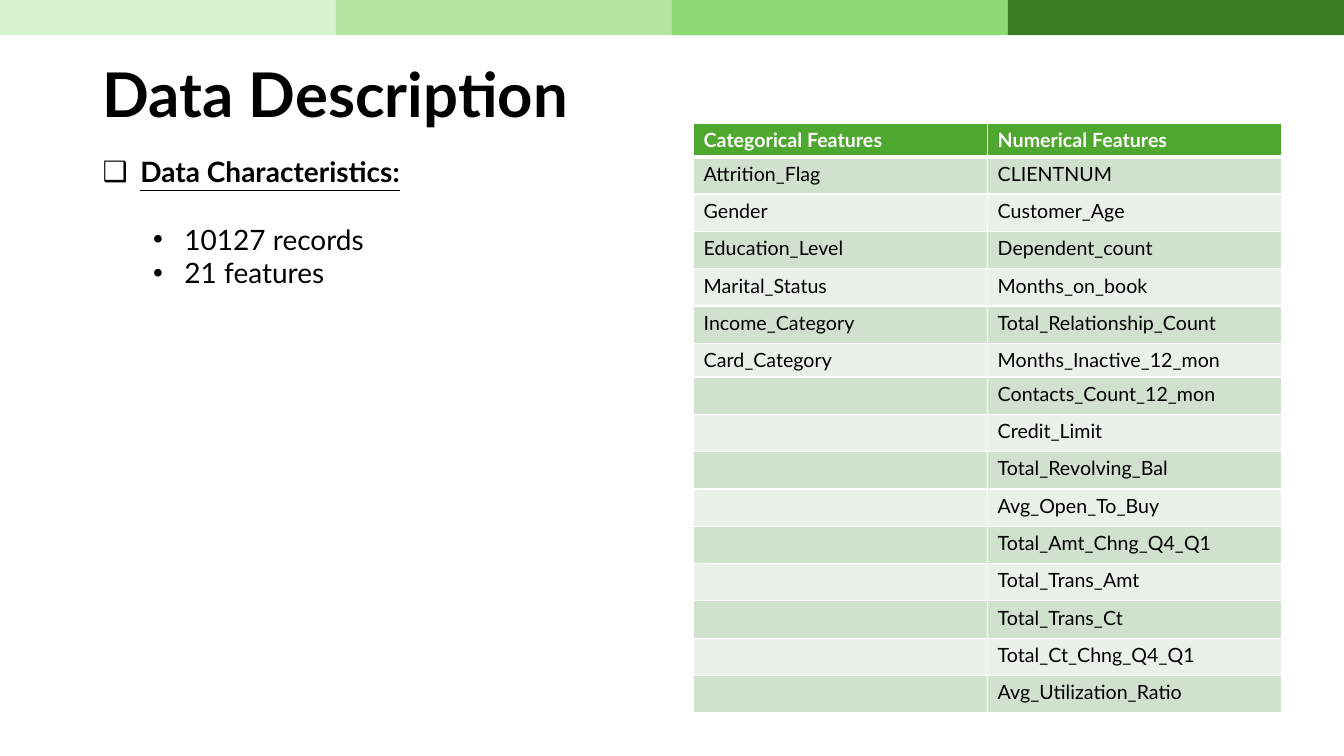
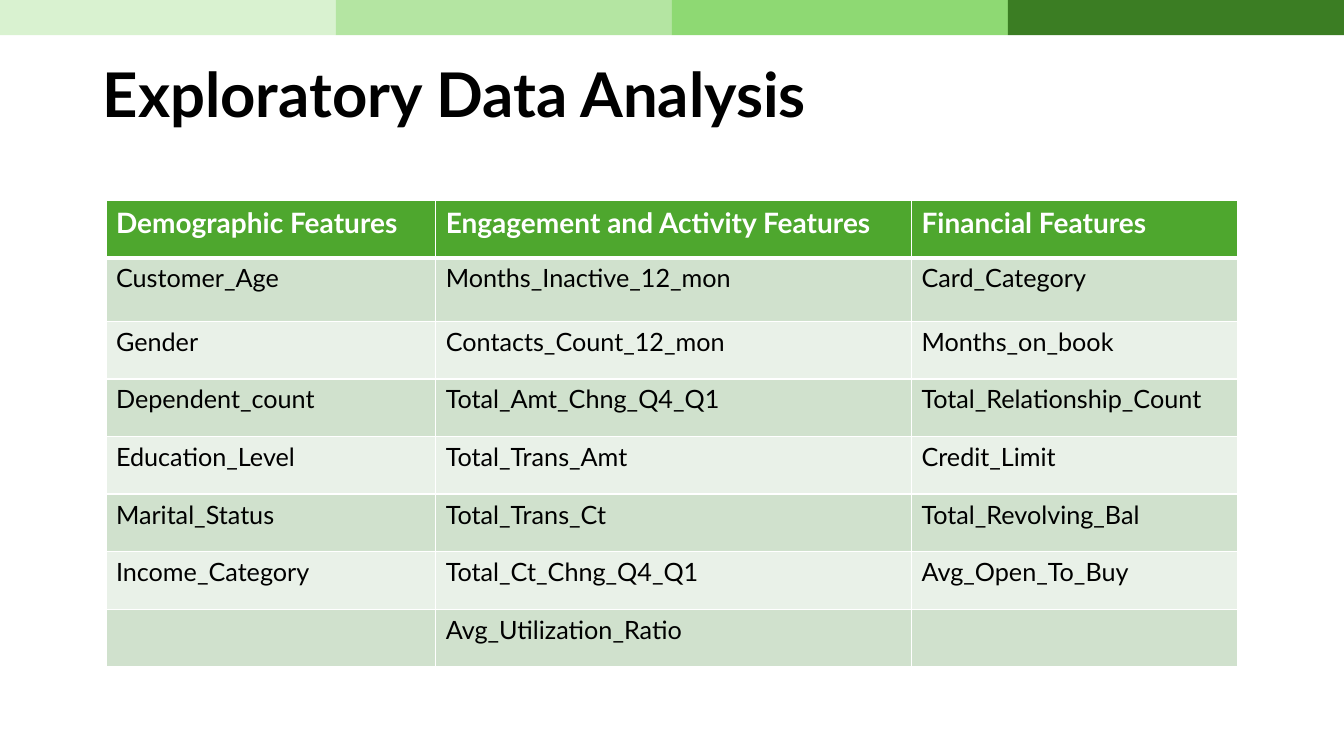
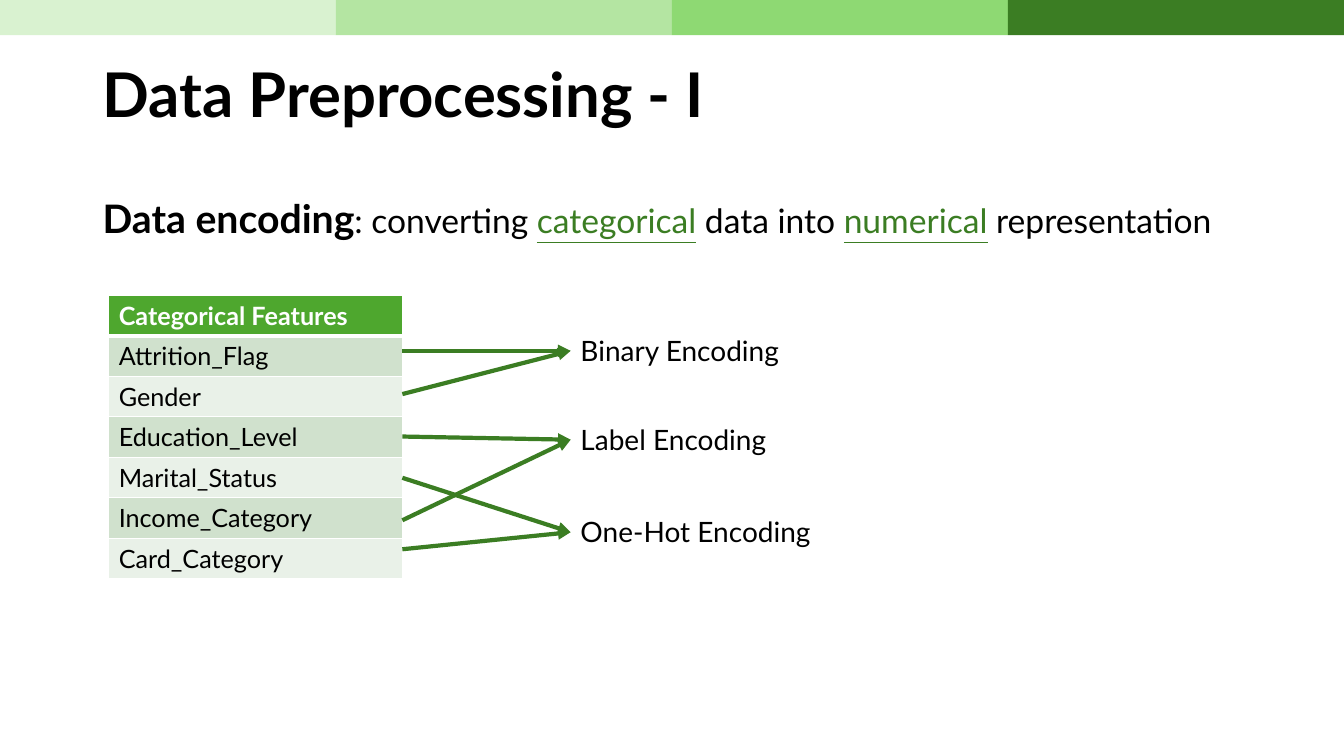
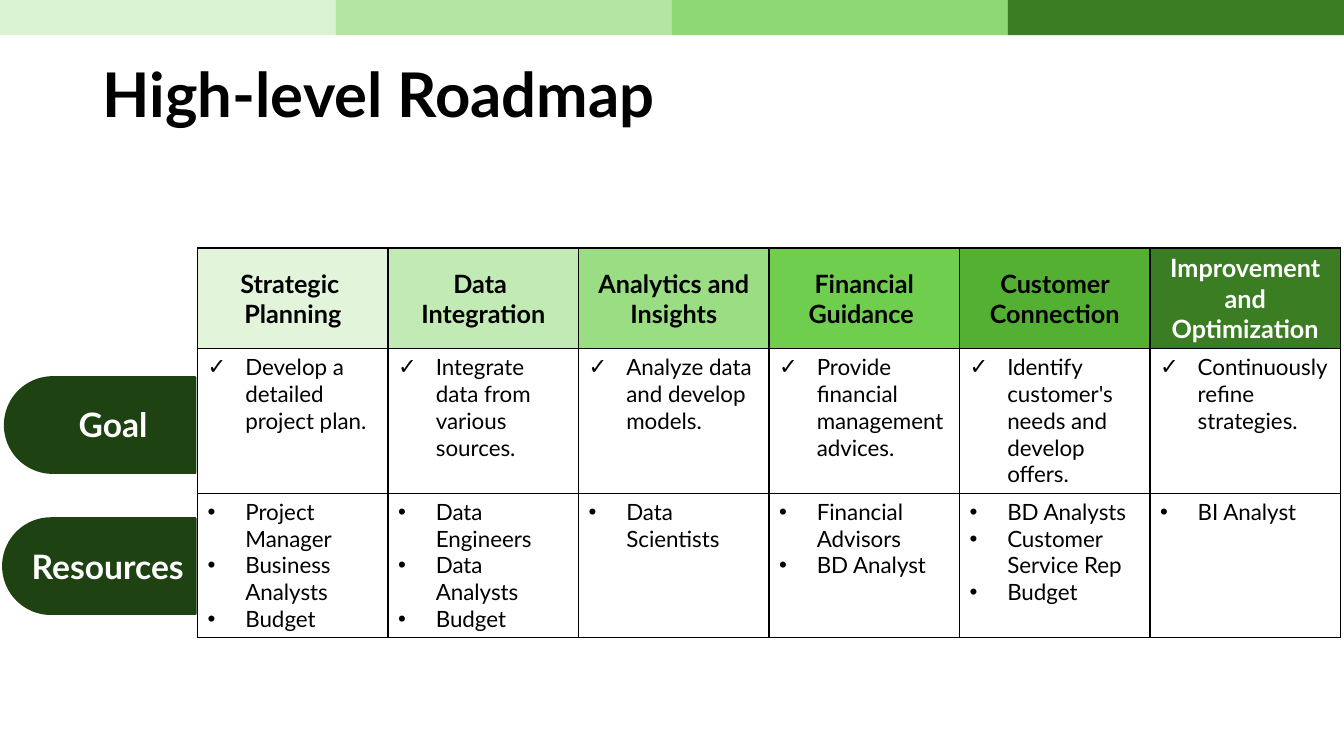
import itertools
from collections.abc import Sequence
from dataclasses import dataclass

import pptx
import pptx.dml.color
import pptx.enum.shapes
import pptx.enum.text
import pptx.oxml.ns
import pptx.presentation
import pptx.shapes.autoshape
import pptx.slide
import pptx.table
import pptx.text.text
import pptx.util
from lxml import etree
from pptx.dml.color import RGBColor
from pptx.util import Cm

FONT = "Lato"
BLACK = RGBColor(0x00, 0x00, 0x00)
WHITE = RGBColor(0xFF, 0xFF, 0xFF)
GREEN = RGBColor(0x3B, 0x7D, 0x23)
DARK_GREEN = RGBColor(0x1F, 0x42, 0x12)
HEADER_GREEN = RGBColor(0x4E, 0xA7, 0x2E)
ROW_TINTS = (RGBColor(0xD0, 0xE1, 0xCD), RGBColor(0xE9, 0xF1, 0xE8))
BAND_COLOURS = (
    RGBColor(0xD9, 0xF2, 0xD0),
    RGBColor(0xB4, 0xE5, 0xA2),
    RGBColor(0x8E, 0xD9, 0x73),
    GREEN,
)
PAGE_WIDTH, PAGE_HEIGHT = Cm(33.87), Cm(19.05)
MARGIN = 2.34
CENTRE = pptx.enum.text.PP_ALIGN.CENTER
MIDDLE = pptx.enum.text.MSO_ANCHOR.MIDDLE
SHAPES = pptx.enum.shapes.MSO_SHAPE


@dataclass(frozen=True)
class Style:
    size: float
    colour: RGBColor = BLACK
    bold: bool = False
    underline: bool = False


@dataclass(frozen=True)
class Bullet:
    symbol: str
    margin: float
    hanging: float


@dataclass(frozen=True)
class Grid:
    """Place, column widths and row heights of a table, in centimetres."""

    left: float
    top: float
    widths: Sequence[float]
    heights: Sequence[float]


@dataclass(frozen=True)
class FeatureGroup:
    heading: str
    features: Sequence[str]


@dataclass(frozen=True)
class Encoding:
    label: str
    top: float
    arrow_starts: Sequence[float]


@dataclass(frozen=True)
class Stage:
    heading: Sequence[str]
    goal: str
    resources: Sequence[str]
    fill: RGBColor
    colour: RGBColor = BLACK


@dataclass(frozen=True)
class RowTab:
    label: str
    left: float
    top: float
    length: float
    label_left: float
    label_top: float
    label_width: float


CATEGORICAL = FeatureGroup("Categorical Features", (
    "Attrition_Flag", "Gender", "Education_Level",
    "Marital_Status", "Income_Category", "Card_Category",
))
NUMERICAL = FeatureGroup("Numerical Features", (
    "CLIENTNUM", "Customer_Age", "Dependent_count", "Months_on_book",
    "Total_Relationship_Count", "Months_Inactive_12_mon",
    "Contacts_Count_12_mon", "Credit_Limit", "Total_Revolving_Bal",
    "Avg_Open_To_Buy", "Total_Amt_Chng_Q4_Q1", "Total_Trans_Amt",
    "Total_Trans_Ct", "Total_Ct_Chng_Q4_Q1", "Avg_Utilization_Ratio",
))
DEMOGRAPHIC = FeatureGroup("Demographic Features", (
    "Customer_Age", "Gender", "Dependent_count",
    "Education_Level", "Marital_Status", "Income_Category",
))
ENGAGEMENT = FeatureGroup("Engagement and Activity Features", (
    "Months_Inactive_12_mon", "Contacts_Count_12_mon",
    "Total_Amt_Chng_Q4_Q1", "Total_Trans_Amt", "Total_Trans_Ct",
    "Total_Ct_Chng_Q4_Q1", "Avg_Utilization_Ratio",
))
FINANCIAL = FeatureGroup("Financial Features", (
    "Card_Category", "Months_on_book", "Total_Relationship_Count",
    "Credit_Limit", "Total_Revolving_Bal", "Avg_Open_To_Buy",
))
ENCODINGS = (
    Encoding("Binary Encoding", 8.28, (8.84, 9.93)),
    Encoding("Label Encoding", 10.52, (11.0, 13.11)),
    Encoding("One-Hot Encoding", 12.85, (13.84, 12.04)),
)
STAGES = (
    Stage(("Strategic ", "Planning"), "Develop a detailed project plan.",
          ("Project Manager", "Business Analysts", "Budget"),
          RGBColor(0xE2, 0xF5, 0xDB)),
    Stage(("Data ", "Integration"), "Integrate data from various sources.",
          ("Data Engineers", "Data Analysts", "Budget"),
          RGBColor(0xC2, 0xEA, 0xB4)),
    Stage(("Analytics and Insights",), "Analyze data and develop models.",
          ("Data Scientists",), RGBColor(0x9B, 0xDD, 0x83)),
    Stage(("Financial Guidance ",), "Provide financial management advices.",
          ("Financial Advisors", "BD Analyst"), RGBColor(0x70, 0xCE, 0x4E)),
    Stage(("Customer Connection",),
          "Identify customer's needs and develop offers.",
          ("BD Analysts", "Customer Service Rep", "Budget"),
          RGBColor(0x53, 0xB0, 0x32)),
    Stage(("Improvement and Optimization",), "Continuously refine strategies.",
          ("BI Analyst",), GREEN, WHITE),
)
ROW_TABS = (
    RowTab("Goal", 1.32, 8.31, 4.8, 0.08, 10.06, 5.54),
    RowTab("Resources", 1.3, 11.84, 4.85, 0, 13.64, 5.43),
)


def set_font(font: pptx.text.text.Font, style: Style) -> None:
    font.name = FONT
    font.size = pptx.util.Pt(style.size)
    font.bold = style.bold
    font.underline = style.underline
    font.color.rgb = style.colour


def add_child(parent: etree._Element, tag: str, **attributes: str) -> etree._Element:
    return etree.SubElement(parent, pptx.oxml.ns.qn(tag), attributes)


def add_bullet(para: pptx.text.text._Paragraph, bullet: Bullet) -> None:
    properties = para._p.get_or_add_pPr()
    properties.set("marL", str(Cm(bullet.margin)))
    properties.set("indent", str(-Cm(bullet.hanging)))
    add_child(properties, "a:buFont", typeface="Arial")
    add_child(properties, "a:buChar", char=bullet.symbol)


def write_lines(
    frame: pptx.text.text.TextFrame,
    lines: Sequence[str],
    style: Style,
    bullet: Bullet | None = None,
    align: pptx.enum.text.PP_ALIGN | None = None,
) -> None:
    """Write one paragraph per line, starting after any text already there."""
    for line in lines:
        para = frame.add_paragraph() if frame.text else frame.paragraphs[0]
        if bullet:
            add_bullet(para, bullet)
        if align is not None:
            para.alignment = align
        set_font(para.font, style)
        if line:
            para.add_run().text = line
        else:
            add_child(para._p, "a:endParaRPr", sz=str(int(style.size * 100)))


def add_text_box(
    page: pptx.slide.Slide, left: float, top: float, width: float, height: float
) -> pptx.text.text.TextFrame:
    box = page.shapes.add_textbox(Cm(left), Cm(top), Cm(width), Cm(height))
    box.text_frame.word_wrap = True
    return box.text_frame


def paint(shape: pptx.shapes.autoshape.Shape, colour: RGBColor) -> None:
    shape.shadow.inherit = False
    shape.fill.solid()
    shape.fill.fore_color.rgb = colour


def add_page(deck: pptx.presentation.Presentation, title: str) -> pptx.slide.Slide:
    """Add a blank page with the green band and its title."""
    page = deck.slides.add_slide(deck.slide_layouts[6])
    width = PAGE_WIDTH / len(BAND_COLOURS)
    for index, colour in enumerate(BAND_COLOURS):
        block = page.shapes.add_shape(
            SHAPES.RECTANGLE, round(index * width), 0, round(width), Cm(0.89)
        )
        paint(block, colour)
        block.line.fill.background()
    frame = add_text_box(page, MARGIN, 1.02, 29.21, 2.87)
    frame.vertical_anchor = MIDDLE
    write_lines(frame, [title], Style(44, bold=True))
    frame.paragraphs[0].line_spacing = 0.9
    return page


def add_grid(page: pptx.slide.Slide, grid: Grid) -> pptx.table.Table:
    table = page.shapes.add_table(
        len(grid.heights), len(grid.widths), Cm(grid.left), Cm(grid.top),
        Cm(sum(grid.widths)), Cm(sum(grid.heights)),
    ).table
    table.horz_banding = False
    for column, width in zip(table.columns, grid.widths):
        column.width = Cm(width)
    for row, height in zip(table.rows, grid.heights):
        row.height = Cm(height)
    return table


def set_cell_look(
    cell: pptx.table._Cell,
    fill: RGBColor | None,
    border: RGBColor,
    top: float = 1,
    bottom: float = 1,
) -> None:
    """Fill a cell and draw its four borders, widths in points."""
    if fill is None:
        cell.fill.background()
    else:
        cell.fill.solid()
        cell.fill.fore_color.rgb = fill
    properties = cell._tc.get_or_add_tcPr()
    sides = (("a:lnL", 1), ("a:lnR", 1), ("a:lnT", top), ("a:lnB", bottom))
    for position, (tag, width) in enumerate(sides):
        line = add_child(properties, tag, w=str(pptx.util.Pt(width)))
        add_child(add_child(line, "a:solidFill"), "a:srgbClr", val=str(border))
        properties.insert(position, line)


def add_feature_table(
    page: pptx.slide.Slide,
    grid: Grid,
    groups: Sequence[FeatureGroup],
    header_size: float,
    body_size: float,
) -> None:
    table = add_grid(page, grid)
    header = [group.heading for group in groups]
    body = itertools.zip_longest(*(group.features for group in groups), fillvalue="")
    for row, texts in enumerate([header, *body]):
        is_header = row == 0
        style = Style(header_size, WHITE, bold=True) if is_header else Style(body_size)
        fill = HEADER_GREEN if is_header else ROW_TINTS[(row - 1) % 2]
        for column, text in enumerate(texts):
            cell = table.cell(row, column)
            set_cell_look(cell, fill, WHITE, top=3 if row == 1 else 1,
                          bottom=3 if is_header else 1)
            write_lines(cell.text_frame, [text], style)


def add_arrow(
    page: pptx.slide.Slide, start: tuple[float, float], end: tuple[float, float]
) -> None:
    arrow = page.shapes.add_connector(
        pptx.enum.shapes.MSO_CONNECTOR.STRAIGHT, *map(Cm, (*start, *end))
    )
    arrow.line.color.rgb = GREEN
    arrow.line.width = pptx.util.Pt(3)
    add_child(arrow.line._get_or_add_ln(), "a:tailEnd", type="triangle")
    add_child(arrow._element.spPr, "a:effectLst")


def build_data_description(deck: pptx.presentation.Presentation) -> None:
    page = add_page(deck, "Data Description")
    grid = Grid(17.48, 3.1, [7.41] * 2, [0.85, *[0.94] * 5, 0.85, *[0.94] * 9])
    add_feature_table(page, grid, (CATEGORICAL, NUMERICAL), 14, 14)
    frame = add_text_box(page, MARGIN, 3.78, 14.07, 4.93)
    write_lines(frame, ["Data Characteristics:"],
                Style(20, bold=True, underline=True), Bullet("❑", 0.95, 0.95))
    write_lines(frame, ["10127 records", "21 features"], Style(20),
                Bullet("•", 2.06, 0.79))
    frame.paragraphs[1].space_before = pptx.util.Pt(24)


def build_exploratory_analysis(deck: pptx.presentation.Presentation) -> None:
    page = add_page(deck, "Exploratory Data Analysis")
    grid = Grid(2.67, 5.05, (8.31, 11.99, 8.23), [1.45, 1.6, *[1.45] * 6])
    add_feature_table(page, grid, (DEMOGRAPHIC, ENGAGEMENT, FINANCIAL), 20, 18)


def build_preprocessing(deck: pptx.presentation.Presentation) -> None:
    page = add_page(deck, "Data Preprocessing - I")
    para = add_text_box(page, MARGIN, 4.78, 29.49, 1.45).paragraphs[0]
    plain = Style(24)
    accent = Style(24, GREEN, underline=True)
    for text, style in (
        ("Data encoding", Style(28, bold=True)),
        (": converting ", plain),
        ("categorical", accent),
        (" data into ", plain),
        ("numerical", accent),
        (" representation", plain),
    ):
        span = para.add_run()
        span.text = text
        set_font(span.font, style)

    add_feature_table(page, Grid(2.74, 7.44, [7.41], [1.02] * 7), [CATEGORICAL], 18, 18)
    label_left, label_height = 14.38, 1.12
    for encoding in ENCODINGS:
        frame = add_text_box(page, label_left, encoding.top, 7.72, label_height)
        write_lines(frame, [encoding.label], Style(20))
        for start in encoding.arrow_starts:
            add_arrow(page, (10.14, start),
                      (label_left, encoding.top + label_height / 2))


def build_roadmap(deck: pptx.presentation.Presentation) -> None:
    page = add_page(deck, "High-level Roadmap")
    table = add_grid(page, Grid(4.98, 6.25, [4.8] * len(STAGES), (2.54, 3.64, 3.64)))
    body = Style(16)
    for column, stage in enumerate(STAGES):
        heading, goal, resources = (table.cell(row, column) for row in range(3))
        set_cell_look(heading, stage.fill, BLACK)
        heading.vertical_anchor = MIDDLE
        write_lines(heading.text_frame, stage.heading,
                    Style(18, stage.colour, bold=True), align=CENTRE)
        for cell, symbol, lines in (
            (goal, "✓", [stage.goal]),
            (resources, "•", stage.resources),
        ):
            set_cell_look(cell, None, BLACK)
            write_lines(cell.text_frame, lines, body, Bullet(symbol, 0.95, 0.95))

    for tab in ROW_TABS:
        shape = page.shapes.add_shape(
            SHAPES.ROUND_2_SAME_RECTANGLE,
            Cm(tab.left), Cm(tab.top), Cm(2.41), Cm(tab.length),
        )
        shape.rotation = 270
        shape.adjustments[0] = 0.5
        shape.adjustments[1] = 0
        paint(shape, DARK_GREEN)
        shape.line.color.rgb = DARK_GREEN
        shape.line.width = pptx.util.Pt(1.5)
        frame = add_text_box(page, tab.label_left, tab.label_top, tab.label_width, 1.27)
        write_lines(frame, [tab.label], Style(24, WHITE, bold=True), align=CENTRE)


def main() -> None:
    deck = pptx.Presentation()
    deck.slide_width, deck.slide_height = PAGE_WIDTH, PAGE_HEIGHT
    build_data_description(deck)
    build_exploratory_analysis(deck)
    build_preprocessing(deck)
    build_roadmap(deck)
    deck.save("out.pptx")


if __name__ == "__main__":
    main()
